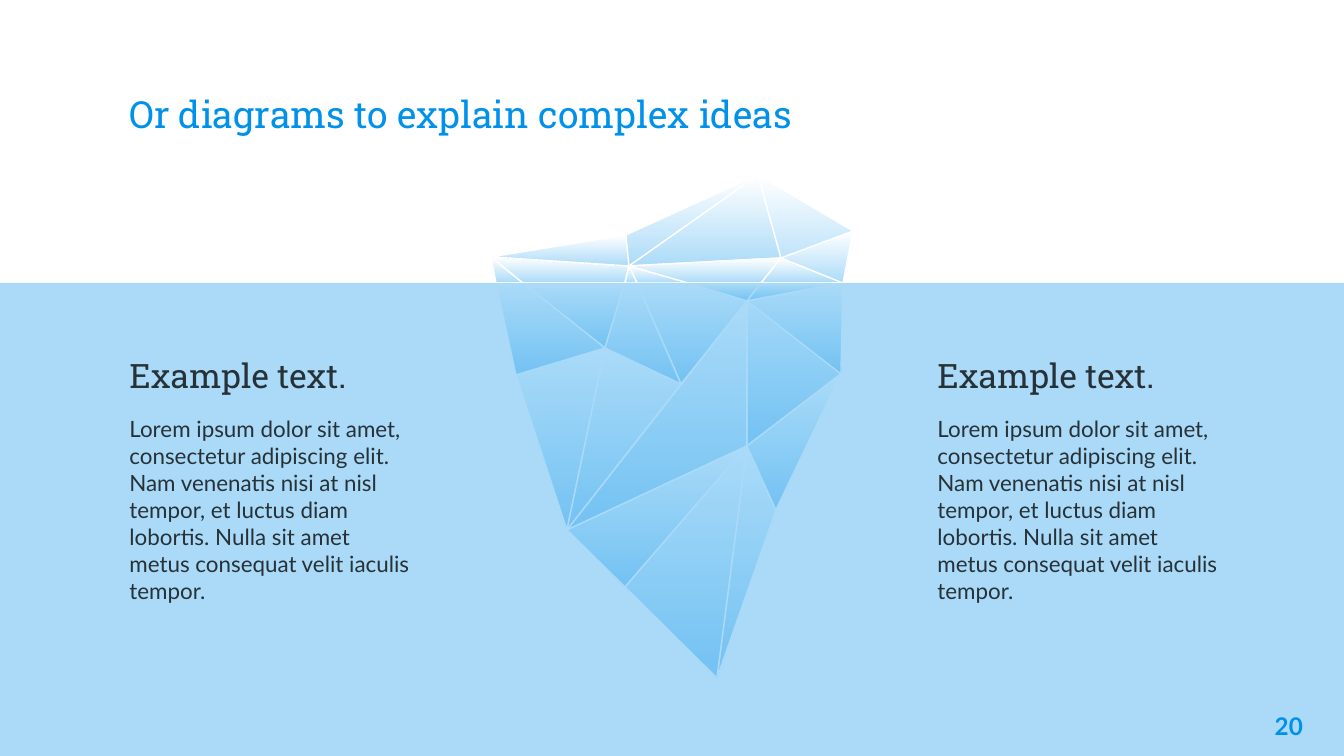
import lxml.etree
import pptx
import pptx.dml.color
import pptx.enum.shapes
import pptx.enum.text
import pptx.oxml.ns
import pptx.util

PIXEL = 914400 / 134.4  # EMU in one px
WIDTH, HEIGHT, WATERLINE = 1344, 756, 283

# Corners of the iceberg, in px
CORNERS = {
    # above the water
    "west": (491, 257), "crest": (626, 235), "summit": (758, 175),
    "saddle": (629, 266), "shoulder": (781, 258), "east": (853, 231),
    # on the waterline, left to right
    **{f"w{number}": (x, WATERLINE)
       for number, x in enumerate((496, 523, 625, 637, 688, 761, 843), 1)},
    # below the water
    "notch": (605, 348), "left": (516, 375), "flank": (567, 530),
    "dent": (681, 384), "knee": (747, 301), "heart": (747, 446),
    "right": (841, 374), "hip": (776, 510), "tip": (717, 678), "heel": (625, 587),
}

# Facets from back to front
FACETS = [
    "w7 west w2", "summit saddle shoulder", "summit east w7 shoulder",
    "west w2 w1", "saddle w3 w2 west", "summit saddle west crest",
    "shoulder w7 w6", "w4 saddle w5", "crest saddle west",
    "east shoulder w7", "w4 saddle w3",
    "w7 right heart knee", "notch flank left", "w3 notch w2",
    "heart hip tip", "w7 knee w6", "dent w4 w5 knee",
    "dent notch flank", "knee flank heart", "w2 notch left w1",
    "w7 knee right", "notch dent w4 w3", "flank heart heel",
    "heel tip heart", "right hip heart", "saddle shoulder w6 w5", "knee w6 w5",
]

HEADING = "Example text."
BODY = ("Lorem ipsum dolor sit amet, consectetur adipiscing elit. Nam venenatis nisi "
        "at nisl tempor, et luctus diam lobortis. Nulla sit amet metus consequat velit "
        "iaculis tempor.")


def px(length):
    return pptx.util.Emu(round(length * PIXEL))


def color(value):
    return pptx.dml.color.RGBColor.from_string(value)


class IcebergSlide:
    BLUE, DARK, WHITE, ICE = "0091EA", "263238", "FFFFFF", "ACDBF8"
    SERIF, SANS = "Roboto Slab", "Lato"

    def __init__(self, slide):
        self.slide = slide

    def place(self, shape, left, top, width, height):
        shape.left, shape.top = px(left), px(top)
        shape.width, shape.height = px(width), px(height)
        # Placeholders come first in the tree: bring them to the front
        shape.element.getparent().append(shape.element)

    def frame(self, shape, inset, anchor=pptx.enum.text.MSO_ANCHOR.TOP):
        frame = shape.text_frame
        frame.word_wrap = True
        frame.auto_size = pptx.enum.text.MSO_AUTO_SIZE.NONE
        frame.vertical_anchor = anchor
        frame.margin_left = frame.margin_right = pptx.util.Inches(0.1)
        frame.margin_top = frame.margin_bottom = pptx.util.Inches(inset)
        return frame

    def set_text(self, paragraph, text, size, font, ink, bold=False, before=0,
                 align=pptx.enum.text.PP_ALIGN.LEFT):
        paragraph.text = text
        paragraph.alignment = align
        paragraph.space_before = pptx.util.Pt(before)
        properties = paragraph._p.get_or_add_pPr()
        properties.set("marL", "0")
        properties.set("indent", "0")
        lxml.etree.SubElement(properties, pptx.oxml.ns.qn("a:buNone"))
        paragraph.font.size = pptx.util.Pt(size)
        paragraph.font.name = font
        paragraph.font.bold = bold
        paragraph.font.color.rgb = color(ink)

    def facet(self, corners):
        start, *others = corners
        builder = self.slide.shapes.build_freeform(*start, scale=PIXEL)
        builder.add_line_segments(others, close=True)
        shape = builder.convert_to_shape()
        shape.shadow.inherit = False
        shape.fill.gradient()
        shape.fill.gradient_angle = 270
        for stop, value in zip(shape.fill.gradient_stops, (self.WHITE, self.ICE)):
            stop.color.rgb = color(value)
        shape.line.color.rgb = color(self.WHITE)
        shape.line.width = pptx.util.Pt(0.75)

    def water(self, top, opacity):
        shape = self.slide.shapes.add_shape(
            pptx.enum.shapes.MSO_SHAPE.RECTANGLE,
            px(0), px(top), px(WIDTH), px(HEIGHT - top))
        shape.shadow.inherit = False
        shape.line.fill.background()
        shape.fill.solid()
        shape.fill.fore_color.rgb = color(self.BLUE)
        fill = shape.element.spPr.find(pptx.oxml.ns.qn("a:solidFill"))
        alpha = lxml.etree.SubElement(fill[0], pptx.oxml.ns.qn("a:alpha"))
        alpha.set("val", str(opacity * 1000))

    def title(self, text):
        shape = self.slide.shapes.title
        self.place(shape, 116, 46, 1113, 103)
        frame = self.frame(shape, 0.1, pptx.enum.text.MSO_ANCHOR.BOTTOM)
        self.set_text(frame.paragraphs[0], text, 20, self.SERIF, self.BLUE)

    def column(self, index, left, heading, body):
        shape = self.slide.placeholders[index]
        self.place(shape, left, 348, 309, 356)
        frame = self.frame(shape, 0.05)
        self.set_text(frame.paragraphs[0], heading, 18, self.SERIF, self.DARK)
        self.set_text(frame.add_paragraph(), body, 12, self.SANS, self.DARK, before=11)

    def page_number(self, number):
        shape = self.slide.shapes.add_textbox(px(1235), px(698), px(81), px(58))
        frame = self.frame(shape, 0.1)
        self.set_text(frame.paragraphs[0], str(number), 13, self.SANS, self.BLUE,
                      bold=True, align=pptx.enum.text.PP_ALIGN.RIGHT)


def main():
    presentation = pptx.Presentation()
    presentation.slide_width, presentation.slide_height = px(WIDTH), px(HEIGHT)
    two_content = presentation.slide_layouts[3]
    page = IcebergSlide(presentation.slides.add_slide(two_content))

    # Iceberg, with the sea over its lower part
    for facet in FACETS:
        page.facet([CORNERS[name] for name in facet.split()])
    page.water(WATERLINE, opacity=33)

    # Text
    page.title("Or diagrams to explain complex ideas")
    for index, left in ((1, 116), (2, 924)):
        page.column(index, left, HEADING, BODY)
    page.page_number(20)

    presentation.save("out.pptx")


if __name__ == "__main__":
    main()
